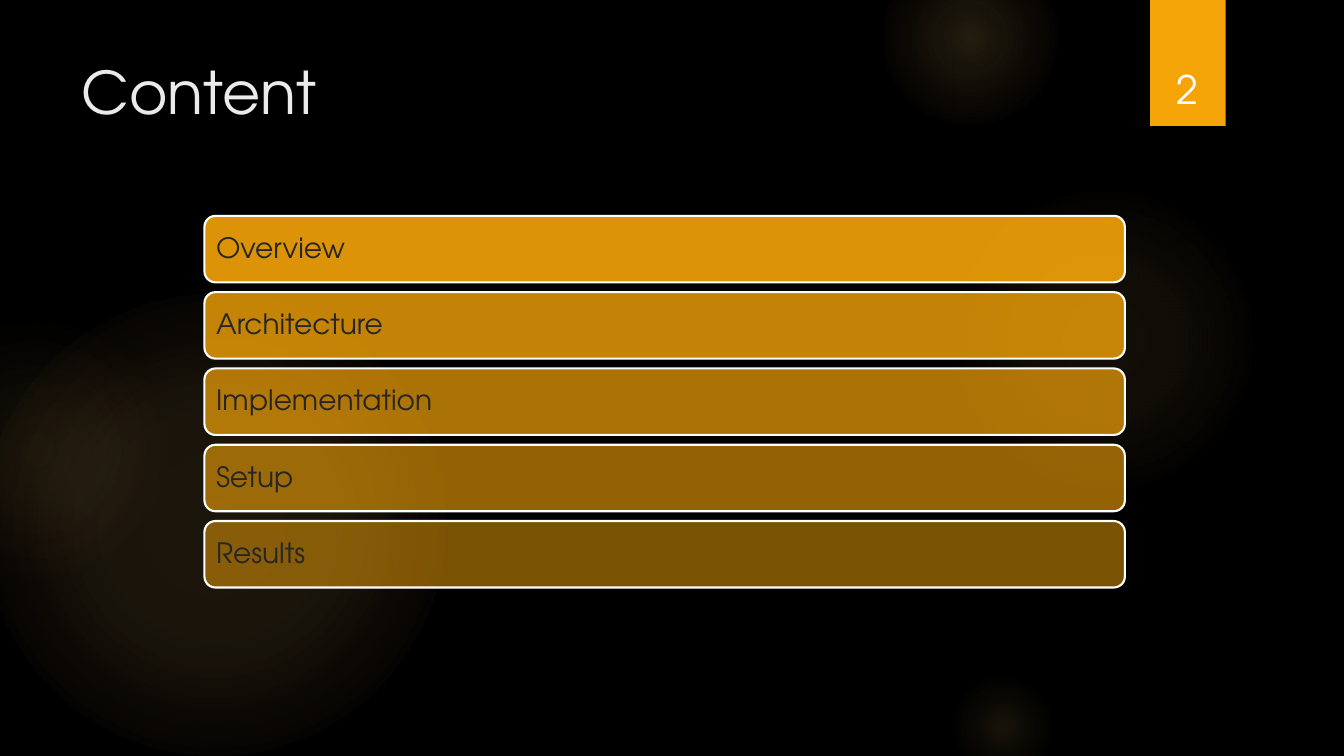
from lxml.etree import SubElement as Sub
from pptx import Presentation
from pptx.dml.color import RGBColor
from pptx.enum.shapes import MSO_SHAPE as Form
from pptx.enum.text import MSO_ANCHOR as Anchor, PP_ALIGN as Align
from pptx.oxml.ns import qn
from pptx.util import Pt

FONT = "TeX Gyre Adventor"
BLACK = RGBColor(0x00, 0x00, 0x00)
WHITE = RGBColor(0xFF, 0xFF, 0xFF)
PALE = RGBColor(0xEB, 0xEB, 0xEB)
DARK = RGBColor(0x26, 0x26, 0x26)
AMBER = RGBColor(0xF5, 0xA4, 0x08)
GOLD = RGBColor(0xFA, 0xC9, 0x6A)
CORAL = RGBColor(0xF5, 0x9B, 0x74)

GLOWS = [
    (-12, 210, 330, [(0, GOLD, 11), (36, GOLD, 10), (75, GOLD, 0)]),
    (-66, 228, 186, [(0, GOLD, 8), (36, GOLD, 5), (71, CORAL, 0)]),
    (677.5, 132, 222, [(0, GOLD, 7), (36, GOLD, 6), (69, GOLD, 0)]),
    (630, -36, 126, [(0, GOLD, 14), (36, GOLD, 7), (73, GOLD, 0)]),
    (677.5, 480, 78, [(0, GOLD, 10), (31, GOLD, 5), (66, GOLD, 0)]),
]
TOPICS = ["Overview", "Architecture", "Implementation", "Setup", "Results"]
LEFT, TOP, WIDE, HIGH, STEP = 146, 154.2, 657.5, 47.5, 54.5


def write(frame, text, size, color, align=Align.LEFT, anchor=Anchor.TOP,
          inset=(7.2, 3.6), space=1.0):
    frame.word_wrap = True
    frame.vertical_anchor = anchor
    frame.margin_left = frame.margin_right = Pt(inset[0])
    frame.margin_top = frame.margin_bottom = Pt(inset[1])
    para = frame.paragraphs[0]
    para.alignment = align
    para.line_spacing = space
    run = para.add_run()
    run.text = text
    run.font.name = FONT
    run.font.size = Pt(size)
    run.font.color.rgb = color


def add_form(slide, form, left, top, wide, high):
    shape = slide.shapes.add_shape(form, Pt(left), Pt(top), Pt(wide), Pt(high))
    shape.shadow.inherit = False
    shape.line.fill.background()
    return shape


def fade(node, share):
    Sub(node, qn("a:alpha"), val=str(share * 1000))


def add_glow(slide, left, top, size, stops):
    glow = add_form(slide, Form.OVAL, left, top, size, size)
    glow.fill.gradient()
    grad = glow._element.spPr.find(qn("a:gradFill"))
    for child in list(grad):
        grad.remove(child)
    steps = Sub(grad, qn("a:gsLst"))
    for pos, color, share in stops:
        stop = Sub(steps, qn("a:gs"), pos=str(pos * 1000))
        fade(Sub(stop, qn("a:srgbClr"), val=str(color)), share)
    route = Sub(grad, qn("a:path"), path="circle")
    Sub(route, qn("a:fillToRect"), l="50000", t="50000", r="50000", b="50000")


def add_bar(slide, row, topic):
    bar = add_form(slide, Form.ROUNDED_RECTANGLE, LEFT, TOP + row * STEP, WIDE, HIGH)
    bar.fill.solid()
    bar.fill.fore_color.rgb = AMBER
    solid = bar._element.spPr.find(qn("a:solidFill"))
    fade(solid.find(qn("a:srgbClr")), 90 - 10 * row)
    bar.line.color.rgb = WHITE
    bar.line.width = Pt(1.5)
    write(bar.text_frame, topic, 20, DARK, anchor=Anchor.MIDDLE,
          inset=(6, 6), space=0.9)


def add_badge(slide, number):
    tab = add_form(slide, Form.RECTANGLE, 821.5, 0, 54, 90)
    tab.fill.solid()
    tab.fill.fore_color.rgb = AMBER
    box = slide.shapes.add_textbox(Pt(815), Pt(23), Pt(66), Pt(60.5))
    write(box.text_frame, number, 28, WHITE, align=Align.CENTER, anchor=Anchor.BOTTOM)


def set_title(slide, text):
    title = slide.shapes.title
    title.left, title.top = Pt(51), Pt(36)
    title.width, title.height = Pt(741), Pt(110)
    write(title.text_frame, text, 42, PALE)


def main():
    deck = Presentation()
    deck.slide_width, deck.slide_height = Pt(960), Pt(540)
    slide = deck.slides.add_slide(deck.slide_layouts[5])
    slide.background.fill.solid()
    slide.background.fill.fore_color.rgb = BLACK
    for glow in GLOWS:
        add_glow(slide, *glow)
    set_title(slide, "Content")
    for row, topic in enumerate(TOPICS):
        add_bar(slide, row, topic)
    add_badge(slide, "2")
    deck.save("out.pptx")


if __name__ == "__main__":
    main()
